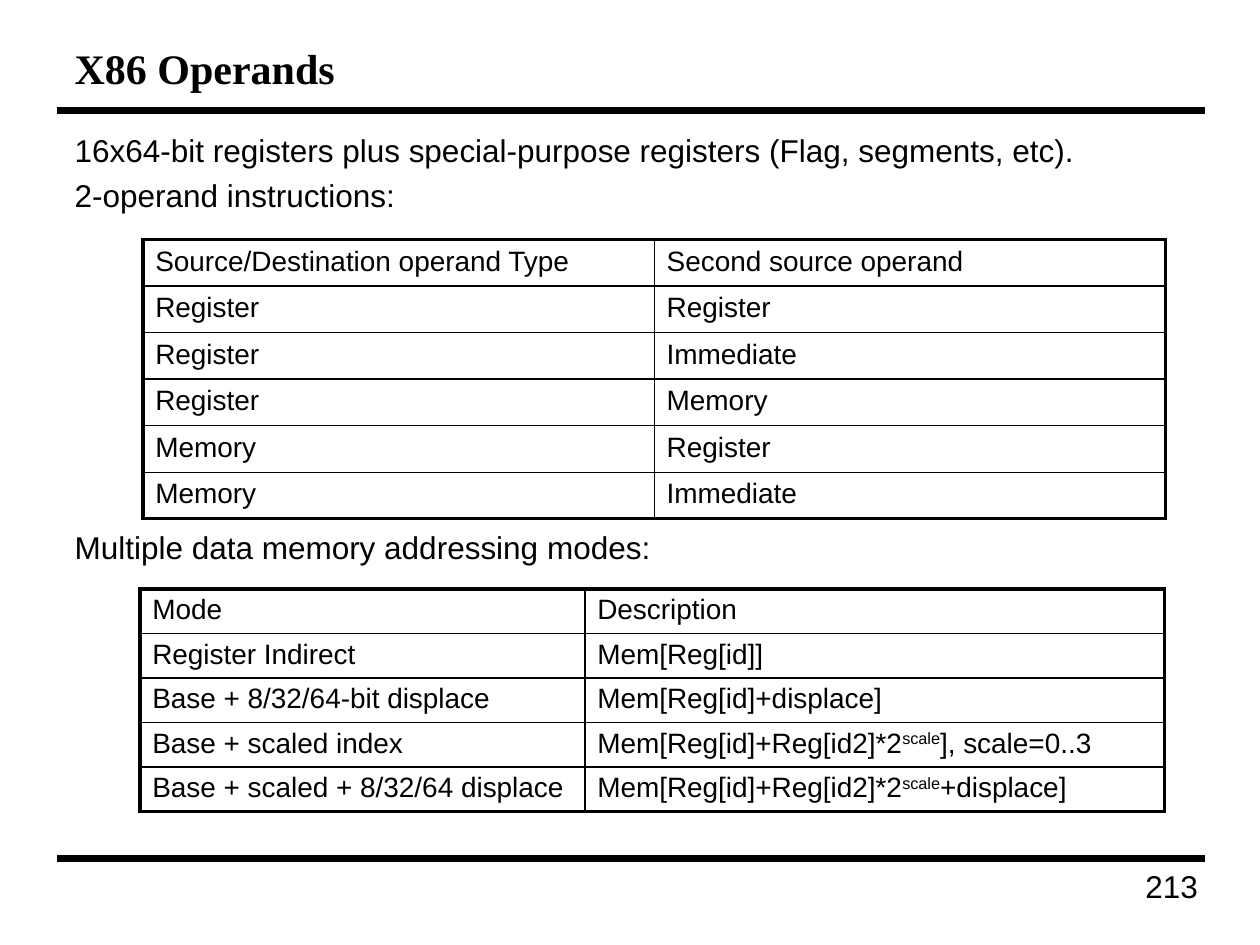
from lxml import etree
from pptx import Presentation
from pptx.dml.color import RGBColor
from pptx.enum.shapes import MSO_CONNECTOR
from pptx.enum.text import MSO_ANCHOR, MSO_AUTO_SIZE, PP_ALIGN
from pptx.oxml import parse_xml
from pptx.oxml.ns import nsdecls, qn
from pptx.util import Cm, Pt

BLACK = RGBColor(0x00, 0x00, 0x00)
THIN, THICK = Pt(1), Pt(2.25)


def style_runs(paragraph, size, font="Arial", bold=False):
    for run in paragraph.runs:
        run.font.name = font
        run.font.size = Pt(size)
        run.font.bold = bold
        run.font.color.rgb = BLACK


def add_grid(slide, left, top, widths, row_height, inset, rows):
    """Add a two-column table with a thick frame; ^ marks off superscript text."""
    table = slide.shapes.add_table(
        len(rows), len(widths), left, top, sum(widths), row_height * len(rows)
    ).table
    table.first_row = table.horz_banding = False
    for column, width in zip(table.columns, widths):
        column.width = width
    for r, row in enumerate(rows):
        table.rows[r].height = row_height
        for c, text in enumerate(row):
            cell = table.cell(r, c)
            cell.margin_left = cell.margin_right = Cm(0.25)
            cell.margin_top = cell.margin_bottom = inset
            cell.fill.background()
            paragraph = cell.text_frame.paragraphs[0]
            for i, part in enumerate(text.split("^")):
                run = paragraph.add_run()
                run.text = part
                if i % 2:
                    run.font._element.set("baseline", "30000")
            style_runs(paragraph, 16)

            # Borders: thick on the outer edge, thin inside
            outer = {"lnL": c == 0, "lnR": c == len(widths) - 1,
                     "lnT": r == 0, "lnB": r == len(rows) - 1}
            properties = cell._tc.get_or_add_tcPr()
            for i, (side, is_outer) in enumerate(outer.items()):
                properties.insert(i, parse_xml(
                    f'<a:{side} {nsdecls("a")} w="{THICK if is_outer else THIN}">'
                    f'<a:solidFill><a:srgbClr val="{BLACK}"/></a:solidFill></a:{side}>'))


prs = Presentation()
prs.slide_width, prs.slide_height = Cm(25.4), Cm(19.05)
slide = prs.slides.add_slide(prs.slide_layouts[1])

# Header and footer rules
for y in (Cm(2.23), Cm(17.3)):
    rule = slide.shapes.add_connector(MSO_CONNECTOR.STRAIGHT, Cm(1.15), y, Cm(24.3), y)
    rule.line.color.rgb = BLACK
    rule.line.width = Pt(4)
    etree.SubElement(rule._element.spPr, qn("a:effectLst"))

# Page number
page_number = slide.shapes.add_textbox(Cm(19.2), Cm(17.35), Cm(5.2), Cm(1.25))
page_number.text_frame.word_wrap = True
page_number.text_frame.text = "213"
page_number.text_frame.paragraphs[0].alignment = PP_ALIGN.RIGHT
style_runs(page_number.text_frame.paragraphs[0], 18)

# Title
title = slide.shapes.title
title.left, title.top, title.width, title.height = Cm(1.25), Cm(0.63), Cm(22.95), Cm(1.48)
title.text_frame.text = "X86 Operands"
title.text_frame.auto_size = MSO_AUTO_SIZE.NONE
title.text_frame.vertical_anchor = MSO_ANCHOR.MIDDLE
title.text_frame.paragraphs[0].alignment = PP_ALIGN.LEFT
style_runs(title.text_frame.paragraphs[0], 24, "Times New Roman", True)

# Body lines; the last one sits below the operand table
body = slide.placeholders[1]
body.left, body.top, body.width, body.height = Cm(1.25), Cm(2.51), Cm(22.95), Cm(14.63)
body.text_frame.text = "\n".join([
    "16x64-bit registers plus special-purpose registers (Flag, segments, etc).",
    "2-operand instructions:",
    "Multiple data memory addressing modes:",
])
body.text_frame.auto_size = MSO_AUTO_SIZE.NONE
for paragraph, gap in zip(body.text_frame.paragraphs, (Pt(2), Pt(4), Pt(180))):
    paragraph.space_before = gap
    etree.SubElement(paragraph._p.get_or_add_pPr(), qn("a:buNone"))
    style_runs(paragraph, 18)

# Operand combinations
add_grid(slide, Cm(2.88), Cm(4.83), (Cm(10.31), Cm(10.31)), Cm(0.93), Cm(0.13), [
    ("Source/Destination operand Type", "Second source operand"),
    ("Register", "Register"),
    ("Register", "Immediate"),
    ("Register", "Memory"),
    ("Memory", "Register"),
    ("Memory", "Immediate"),
])

# Addressing modes
add_grid(slide, Cm(2.82), Cm(11.87), (Cm(8.97), Cm(11.69)), Cm(0.88), Cm(0.11), [
    ("Mode", "Description"),
    ("Register Indirect", "Mem[Reg[id]]"),
    ("Base + 8/32/64-bit displace", "Mem[Reg[id]+displace]"),
    ("Base + scaled index", "Mem[Reg[id]+Reg[id2]*2^scale^], scale=0..3"),
    ("Base + scaled + 8/32/64 displace", "Mem[Reg[id]+Reg[id2]*2^scale^+displace]"),
])

prs.save("out.pptx")
